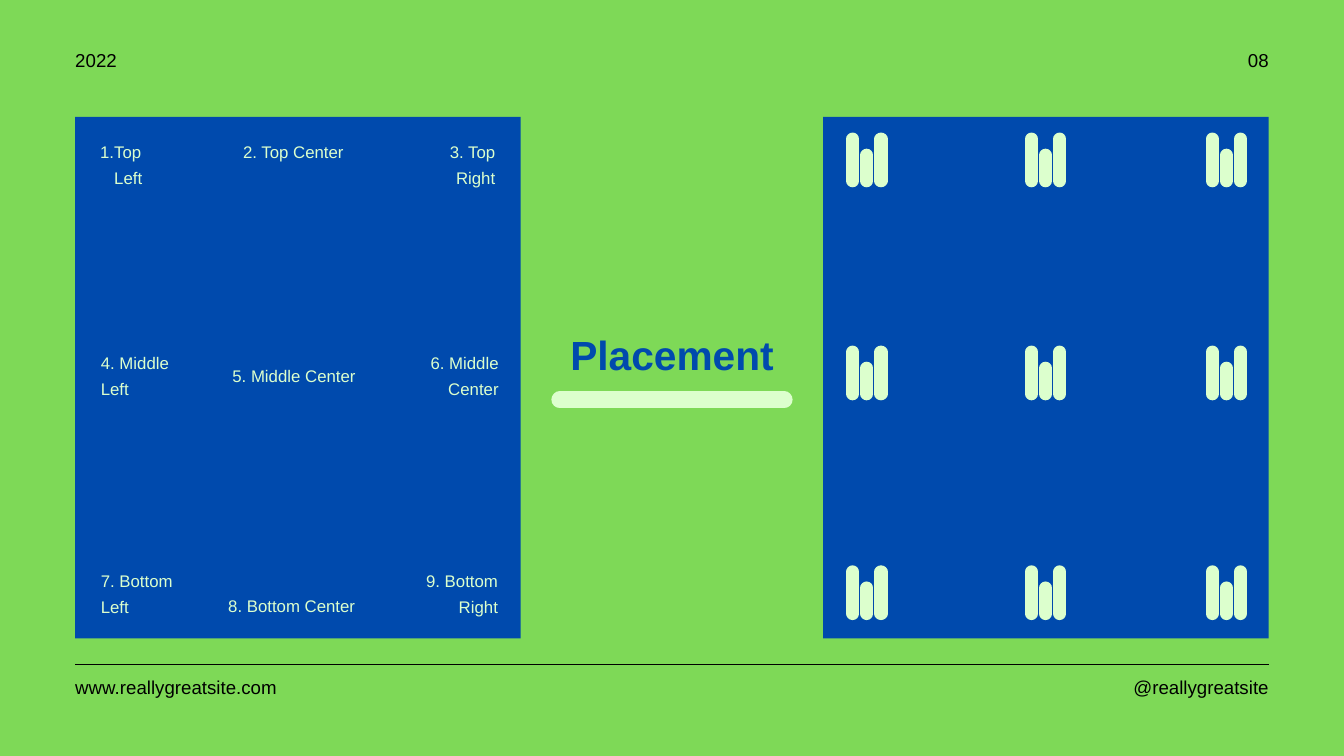
from dataclasses import dataclass
from itertools import product

from lxml.etree import SubElement
from pptx import Presentation
from pptx.dml.color import RGBColor
from pptx.enum.shapes import MSO_CONNECTOR, MSO_SHAPE
from pptx.enum.text import MSO_AUTO_SIZE, PP_ALIGN
from pptx.oxml.ns import qn
from pptx.shapes.shapetree import GroupShapes, SlideShapes
from pptx.slide import Slide
from pptx.text.text import _Paragraph
from pptx.util import Inches, Pt

COLORS = {"green": "7ED957", "blue": "004AAD", "mint": "DCFFCD", "black": "000000"}

# Font size, line spacing, colour and weight of each kind of text
FORMATS = {
    "title": {"size": Pt(43.6), "spacing": Pt(61.4), "color": "blue", "bold": True},
    "label": {"size": Pt(18), "spacing": Pt(27.7), "color": "mint", "bold": False},
    "margin": {"size": Pt(20), "spacing": Pt(28), "color": "black", "bold": False},
}

LEFT, RIGHT = 1.12, 18.88
PANEL_TOP, PANEL_WIDTH, PANEL_HEIGHT = 1.74, 6.63, 7.76

MARK_CENTERS = (12.9, 15.56, 18.25)
MARK_BOTTOMS = (2.69, 5.86, 9.13)
BAR_GAP = 0.21
BAR_HEIGHTS = (0.62, 0.38, 0.62)


@dataclass(frozen=True)
class TextItem:
    text: str
    left: float
    top: float
    width: float
    height: float
    kind: str = "label"
    align: PP_ALIGN = PP_ALIGN.LEFT
    numbered: bool = False


TEXTS = [
    TextItem("Placement", 8.06, 4.78, 3.88, 0.99, "title", PP_ALIGN.CENTER),
    # Left column
    TextItem("Top Left", 1.28, 2.02, 1.2, 0.79, align=PP_ALIGN.JUSTIFY, numbered=True),
    TextItem("4. Middle Left", 1.5, 5.17, 1.31, 0.79),
    TextItem("7. Bottom Left", 1.5, 8.41, 1.31, 0.79),
    # Centre column
    TextItem("2. Top Center", 3.14, 2.02, 2.45, 0.42, align=PP_ALIGN.CENTER),
    TextItem("5. Middle Center", 2.93, 5.35, 2.89, 0.42, align=PP_ALIGN.CENTER),
    TextItem("8. Bottom Center", 2.93, 8.78, 2.82, 0.42, align=PP_ALIGN.CENTER),
    # Right column
    TextItem("3. Top Right", 6.27, 2.02, 1.1, 0.79, align=PP_ALIGN.RIGHT),
    TextItem("6. Middle Center", 5.93, 5.17, 1.49, 0.79, align=PP_ALIGN.RIGHT),
    TextItem("9. Bottom Right", 5.81, 8.41, 1.6, 0.79, align=PP_ALIGN.RIGHT),
    # Header and footer
    TextItem("2022", LEFT, 0.67, 1.24, 0.45, "margin"),
    TextItem("www.reallygreatsite.com", LEFT, 10, 4.47, 0.45, "margin"),
    TextItem("@reallygreatsite", 15.64, 10, 3.24, 0.45, "margin", PP_ALIGN.RIGHT),
    TextItem("08", 17.96, 0.67, 0.92, 0.45, "margin", PP_ALIGN.RIGHT),
]


def rgb(name: str) -> RGBColor:
    return RGBColor.from_string(COLORS[name])


def add_panel(slide: Slide, left: float) -> None:
    panel = slide.shapes.add_shape(
        MSO_SHAPE.RECTANGLE, Inches(left), Inches(PANEL_TOP),
        Inches(PANEL_WIDTH), Inches(PANEL_HEIGHT))
    panel.shadow.inherit = False
    panel.fill.solid()
    panel.fill.fore_color.rgb = rgb("blue")
    panel.line.fill.background()


def add_line(shapes: SlideShapes | GroupShapes, start: tuple[float, float],
             end: tuple[float, float], color: str, width: float,
             rounded: bool = True) -> None:
    line = shapes.add_connector(
        MSO_CONNECTOR.STRAIGHT, *(Inches(value) for value in (*start, *end)))
    line.line.color.rgb = rgb(color)
    line.line.width = Pt(width)
    properties = line._element.spPr
    if rounded:
        properties.find(qn("a:ln")).set("cap", "rnd")
    SubElement(properties, qn("a:effectLst"))


def add_mark(slide: Slide, center: float, bottom: float) -> None:
    group = slide.shapes.add_group_shape()
    for index, height in enumerate(BAR_HEIGHTS):
        x = center + (index - 1) * BAR_GAP
        add_line(group.shapes, (x, bottom), (x, bottom - height), "mint", 14)


def number_paragraph(paragraph: _Paragraph) -> None:
    paragraph.level = 1
    properties = paragraph._p.get_or_add_pPr()
    properties.set("marL", str(Inches(0.42)))
    properties.set("indent", str(Inches(-0.21)))
    SubElement(properties, qn("a:buAutoNum"), type="arabicPeriod")


def add_text(slide: Slide, item: TextItem) -> None:
    style = FORMATS[item.kind]
    box = slide.shapes.add_textbox(
        Inches(item.left), Inches(item.top), Inches(item.width), Inches(item.height))
    frame_format = {
        "margin_left": 0, "margin_top": 0, "margin_right": 0, "margin_bottom": 0,
        "word_wrap": True, "auto_size": MSO_AUTO_SIZE.SHAPE_TO_FIT_TEXT,
    }
    for name, value in frame_format.items():
        setattr(box.text_frame, name, value)

    paragraph = box.text_frame.paragraphs[0]
    paragraph.alignment = item.align
    paragraph.line_spacing = style["spacing"]
    if item.numbered:
        number_paragraph(paragraph)

    run = paragraph.add_run()
    run.text = item.text
    font_format = {"name": "Arial", "size": style["size"], "bold": style["bold"]}
    for name, value in font_format.items():
        setattr(run.font, name, value)
    run.font.color.rgb = rgb(style["color"])


def main() -> None:
    presentation = Presentation()
    presentation.slide_width = Inches(20)
    presentation.slide_height = Inches(11.25)
    slide = presentation.slides.add_slide(presentation.slide_layouts[6])
    slide.background.fill.solid()
    slide.background.fill.fore_color.rgb = rgb("green")

    # Panels and the bar under the title
    for left in (LEFT, RIGHT - PANEL_WIDTH):
        add_panel(slide, left)
    add_line(slide.shapes, (8.33, 5.95), (11.67, 5.95), "mint", 18)

    # Three by three grid of marks
    for center, bottom in product(MARK_CENTERS, MARK_BOTTOMS):
        add_mark(slide, center, bottom)

    # Footer rule and all text
    add_line(slide.shapes, (LEFT, 9.89), (RIGHT, 9.89), "black", 1.5, rounded=False)
    for item in TEXTS:
        add_text(slide, item)

    presentation.save("out.pptx")


if __name__ == "__main__":
    main()
